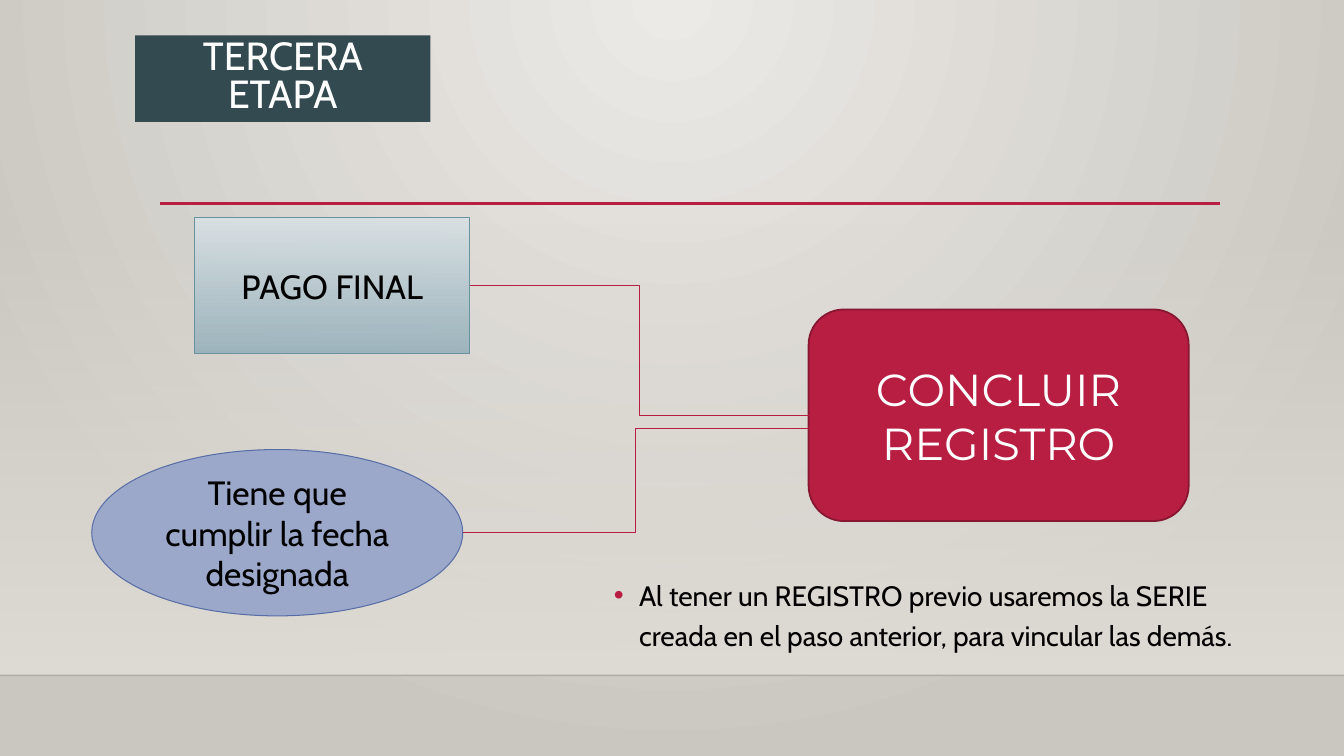
from lxml.etree import SubElement
from pptx import Presentation
from pptx.dml.color import RGBColor
from pptx.enum.shapes import MSO_CONNECTOR, MSO_SHAPE
from pptx.enum.text import MSO_ANCHOR, MSO_AUTO_SIZE, PP_ALIGN
from pptx.oxml.ns import qn
from pptx.util import Inches, Pt


def color(hex_code):
    return RGBColor.from_string(hex_code)


def write(box, text, font, size, hex_code, align=PP_ALIGN.CENTER, anchor=MSO_ANCHOR.MIDDLE):
    frame = box.text_frame
    frame.text = text
    frame.word_wrap = True
    frame.auto_size = MSO_AUTO_SIZE.NONE
    frame.vertical_anchor = anchor
    para = frame.paragraphs[0]
    para.alignment = align
    span = para.runs[0]
    span.font.name = font
    span.font.size = Pt(size)
    span.font.color.rgb = color(hex_code)
    return para


deck = Presentation()
deck.slide_width, deck.slide_height = Inches(13.33), Inches(7.5)
page = deck.slides.add_slide(deck.slide_layouts[5])

# Background and fading panel
backdrop = page.background.fill
panel = page.shapes.add_shape(MSO_SHAPE.RECTANGLE, 0, Inches(2.21), Inches(13.33), Inches(4.49))
panel.shadow.inherit = False
panel.line.fill.background()

# Nodes of the diagram: shape, box, line colour, line width, text, font, size, text colour
nodes = [
    (MSO_SHAPE.ROUNDED_RECTANGLE, (8.02, 3.07, 3.77, 2.1), "871631", 1.25,
     "CONCLUIR REGISTRO", "Montserrat", 32, "FFFFFF"),
    (MSO_SHAPE.RECTANGLE, (1.93, 2.16, 2.73, 1.35), "6892A0", 0.75,
     "PAGO FINAL", "Cabin", 24, "000000"),
    (MSO_SHAPE.OVAL, (0.91, 4.46, 3.68, 1.65), "586EA6", 0.75,
     "Tiene que cumplir la fecha designada", "Cabin", 24, "000000"),
]
node_boxes = []
for kind, place, outline, width, text, font, size, text_color in nodes:
    box = page.shapes.add_shape(kind, *map(Inches, place))
    box.shadow.inherit = False
    box.line.color.rgb = color(outline)
    box.line.width = Pt(width)
    write(box, text, font, size, text_color)
    node_boxes.append(box)
goal, payment, deadline = node_boxes

# Fills
for box, fill_color in ((goal, "B71E42"), (deadline, "9BA8CA")):
    box.fill.solid()
    box.fill.fore_color.rgb = color(fill_color)
for fill, stops in (
    (backdrop, ("ECEAE7", "CAC7C1")),
    (panel.fill, ("DFDBD5", "DFDBD5")),
    (payment.fill, ("D9E1E4", "9AB2BC")),
):
    fill.gradient()
    fill.gradient_angle = 270
    for index, stop_color in enumerate(stops):
        fill.gradient_stops[index].position = index
        fill.gradient_stops[index].color.rgb = color(stop_color)

# Radial shape of the background, transparency of the gradients
radial = page.background.element.find(".//" + qn("a:gradFill"))
radial.remove(radial.find(qn("a:lin")))
circle = SubElement(radial, qn("a:path"), path="circle")
SubElement(circle, qn("a:fillToRect"), l="43000", t="0", r="43000", b="100000")
for box, index, opacity in ((panel, 0, 0), (payment, 1, 92)):
    stop = box.element.findall(".//" + qn("a:gs"))[index]
    SubElement(stop[0], qn("a:alpha"), val=str(opacity * 1000))

# Rules and elbow connectors
straight, elbow = MSO_CONNECTOR.STRAIGHT, MSO_CONNECTOR.ELBOW
for kind, ends, line_color, width, opacity in (
    (straight, (0, 6.7, 13.33, 6.7), "000001", 1, 20),
    (straight, (1.59, 2.02, 12.1, 2.02), "B71E42", 2.5, 100),
    (elbow, (4.66, 2.83, 8.02, 4.12), "B71E42", 0.75, 100),
    (elbow, (4.59, 5.28, 8.02, 4.25), "B71E42", 0.75, 100),
):
    link = page.shapes.add_connector(kind, *map(Inches, ends))
    link.line.color.rgb = color(line_color)
    link.line.width = Pt(width)
    SubElement(link.element.spPr, qn("a:effectLst"))
    if opacity < 100:
        tint = link.element.find(".//" + qn("a:srgbClr"))
        SubElement(tint, qn("a:alpha"), val=str(opacity * 1000))

# Title
title = page.shapes.title
title.left, title.top, title.width, title.height = map(Inches, (1.34, 0.35, 2.93, 0.86))
title.fill.solid()
title.fill.fore_color.rgb = color("334A51")
heading = write(title, "TERCERA ETAPA", "Cabin", 28, "FFFFFF", anchor=MSO_ANCHOR.TOP)
heading.line_spacing = 0.8
title.text_frame.margin_left = title.text_frame.margin_right = Inches(0.2)

# Bulleted note
note = page.shapes.add_textbox(*map(Inches, (5.99, 5.62, 6.44, 1.35)))
para = write(note, "Al tener un REGISTRO previo usaremos la SERIE creada en el paso anterior, "
             "para vincular las demás.", "Cabin", 20, "000000", PP_ALIGN.LEFT, MSO_ANCHOR.TOP)
para.line_spacing = 1.2
para.space_before = Pt(10)
bullet = para._p.get_or_add_pPr()
bullet.set("marL", str(Inches(0.25)))
bullet.set("indent", str(-Inches(0.25)))
SubElement(SubElement(bullet, qn("a:buClr")), qn("a:srgbClr"), val="B71E42")
SubElement(bullet, qn("a:buFont"), typeface="Arial")
SubElement(bullet, qn("a:buChar"), char="•")

deck.save("out.pptx")
